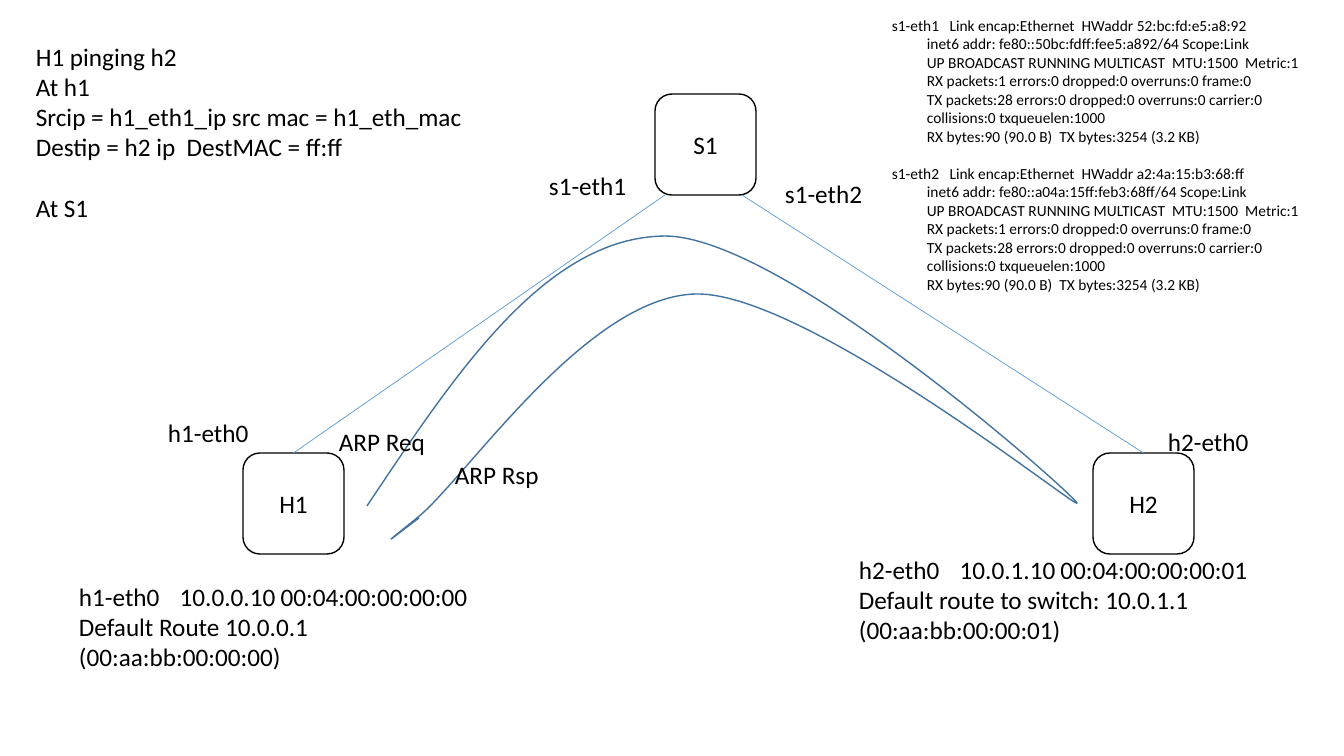
from lxml.etree import SubElement
from pptx import Presentation
from pptx.dml.color import RGBColor
from pptx.enum.shapes import MSO_CONNECTOR, MSO_SHAPE
from pptx.enum.text import MSO_ANCHOR, PP_ALIGN
from pptx.oxml.ns import qn
from pptx.util import Emu, Pt

SCALE = 914400 / 100.8
NODE_SIZE = 101
LABEL_HEIGHT = 40


def px(length):
    return Emu(round(length * SCALE))


def color(value):
    return RGBColor.from_string(value)


def style_line(line, value, width):
    line.color.rgb = color(value)
    line.width = Pt(width)


def style_paragraph(paragraph, size):
    for run in paragraph.runs:
        run.font.name = "Calibri"
        run.font.size = Pt(size)
        run.font.color.rgb = color("000000")


def add_text(slide, box, lines, size=18, wrap=True):
    note = slide.shapes.add_textbox(*map(px, box))
    frame = note.text_frame
    frame.word_wrap = wrap
    frame.text = "\n".join(lines)
    for paragraph in frame.paragraphs:
        style_paragraph(paragraph, size)
    return frame.paragraphs


def add_node(slide, box, name):
    node = slide.shapes.add_shape(MSO_SHAPE.ROUNDED_RECTANGLE, *map(px, box))
    node.shadow.inherit = False
    node.fill.solid()
    node.fill.fore_color.rgb = color("FFFFFF")
    style_line(node.line, "000000", 1)
    frame = node.text_frame
    frame.text = name
    frame.vertical_anchor = MSO_ANCHOR.MIDDLE
    frame.paragraphs[0].alignment = PP_ALIGN.CENTER
    style_paragraph(frame.paragraphs[0], 18)
    return node


def add_link(slide, host, switch_port):
    host_x = host.left + host.width // 2
    link = slide.shapes.add_connector(
        MSO_CONNECTOR.STRAIGHT, host_x, host.top, *map(px, switch_port))
    link.begin_connect(host, 0)
    style_line(link.line, "5B9BD5", 0.5)
    SubElement(link._element.spPr, qn("a:effectLst"))


def add_arp_trace(slide, box):
    left, top, width, height = box
    knots = [
        (0, 270), (90, 135), (179, 1), (298, 0), (416, 0), (705, 257), (710, 267),
        (715, 277), (439, 56), (329, 58), (219, 60), (97, 245), (50, 282),
        (4, 319), (28, 300), (52, 282)]
    builder = slide.shapes.build_freeform(0, 0, scale=SCALE)
    builder.add_line_segments([(width, height)], close=False)
    trace = builder.convert_to_shape(px(left), px(top))
    trace.shadow.inherit = False
    trace.fill.background()
    style_line(trace.line, "43739E", 1)
    outline = next(trace._element.iter(qn("a:path")))
    for segment in list(outline):
        outline.remove(segment)
    segments = [("a:moveTo", knots[:1])]
    segments += [("a:cubicBezTo", knots[i:i + 3]) for i in range(1, len(knots), 3)]
    for tag, points in segments:
        segment = SubElement(outline, qn(tag))
        for x, y in points:
            SubElement(segment, qn("a:pt"), x=str(x), y=str(y))


def add_topology(slide, box):
    left, top = box[:2]
    switch, second_host, first_host = [
        add_node(slide, (left + x, top + y, NODE_SIZE, NODE_SIZE), name)
        for name, x, y in [("S1", 412, 0), ("H2", 850, 359), ("H1", 0, 359)]]
    switch_bottom = top + NODE_SIZE
    add_link(slide, first_host, (left + 422, switch_bottom))
    add_link(slide, second_host, (left + 499, switch_bottom))
    add_arp_trace(slide, (left + 124, top + 142, 710, 303))
    for label, x, y, width in [
            ("ARP Req", 86, 327, 107), ("ARP Rsp", 202, 360, 105),
            ("s1-eth2", 532, 79, 99), ("s1-eth1", 296, 71, 99),
            ("h1-eth0", -85, 318, 102), ("h2-eth0", 915, 327, 102)]:
        add_text(slide, (left + x, top + y, width, LABEL_HEIGHT), [label], wrap=False)


def add_ping_steps(slide, box):
    steps = add_text(slide, box, [
        "H1 pinging h2", "At h1", "Srcip = h1_eth1_ip src mac = h1_eth_mac",
        "Destip = h2 ip  DestMAC = ff:ff", "At S1"])
    steps[-1].space_before = Pt(21.6)


def add_host_config(slide, box, interface, address, mac, route):
    add_text(slide, box, [f"{interface}\t{address}\t{mac}", route])


def add_interface_dump(slide, box, interfaces):
    lines = []
    for name, mac, inet6 in interfaces:
        lines += [
            f"{name}   Link encap:Ethernet  HWaddr {mac}",
            f"inet6 addr: {inet6}/64 Scope:Link",
            "UP BROADCAST RUNNING MULTICAST  MTU:1500  Metric:1",
            "RX packets:1 errors:0 dropped:0 overruns:0 frame:0",
            "TX packets:28 errors:0 dropped:0 overruns:0 carrier:0",
            "collisions:0 txqueuelen:1000",
            "RX bytes:90 (90.0 B)  TX bytes:3254 (3.2 KB)"]
    lines_each = len(lines) // len(interfaces)
    for index, paragraph in enumerate(add_text(slide, box, lines, size=11)):
        if index % lines_each:
            paragraph._p.get_or_add_pPr().set("marL", str(px(35)))
        elif index:
            paragraph.space_before = Pt(13.2)


presentation = Presentation()
presentation.slide_width = px(1344)
presentation.slide_height = px(756)
arp_slide = presentation.slides.add_slide(presentation.slide_layouts[6])
add_topology(arp_slide, (243, 94, 951, 460))
add_ping_steps(arp_slide, (26, 36, 452, 285))
add_host_config(arp_slide, (69, 576, 453, 132), "h1-eth0", "10.0.0.10",
                "00:04:00:00:00:00", "Default Route 10.0.0.1 (00:aa:bb:00:00:00)")
add_host_config(arp_slide, (849, 549, 453, 132), "h2-eth0", "10.0.1.10",
                "00:04:00:00:00:01", "Default route to switch: 10.0.1.1 (00:aa:bb:00:00:01)")
add_interface_dump(arp_slide, (882, 11, 432, 308), [
    ("s1-eth1", "52:bc:fd:e5:a8:92", "fe80::50bc:fdff:fee5:a892"),
    ("s1-eth2", "a2:4a:15:b3:68:ff", "fe80::a04a:15ff:feb3:68ff")])
presentation.save("out.pptx")
